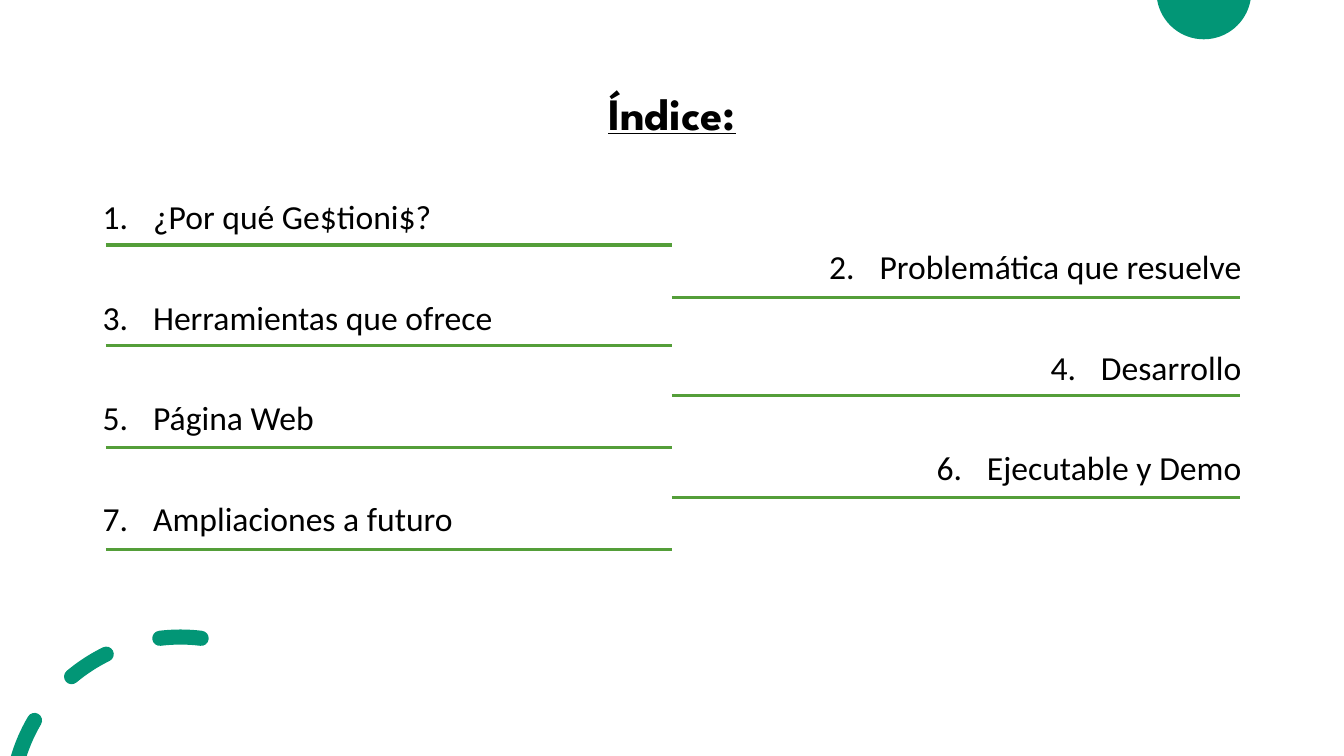
from dataclasses import dataclass
from math import acos, ceil, cos, degrees, radians, sin, tan

from lxml import etree
from pptx import Presentation
from pptx.dml.color import RGBColor
from pptx.enum.shapes import MSO_CONNECTOR
from pptx.enum.text import MSO_ANCHOR, PP_ALIGN
from pptx.oxml.ns import qn
from pptx.util import Inches, Pt

STRAIGHT = MSO_CONNECTOR.STRAIGHT
MIDDLE, TOP = MSO_ANCHOR.MIDDLE, MSO_ANCHOR.TOP
LEFT, CENTER, RIGHT = PP_ALIGN.LEFT, PP_ALIGN.CENTER, PP_ALIGN.RIGHT

SLIDE_WIDTH, SLIDE_HEIGHT = 13.33, 7.5
MARGIN = 0.92
CONTENT_WIDTH = 11.49


@dataclass(frozen=True)
class Theme:
    ink: RGBColor = RGBColor(0x00, 0x00, 0x00)
    ornament: RGBColor = RGBColor(0x02, 0x96, 0x76)
    rule: RGBColor = RGBColor(0x54, 0x9E, 0x39)
    title_font: str = "League Spartan"
    body_font: str = "Calibri"
    title_size: Pt = Pt(32)
    body_size: Pt = Pt(24)
    rule_width: Pt = Pt(2.25)


THEME = Theme()

TOPICS = [
    ("¿Por qué Ge$tioni$?", 0.49),
    ("Problemática que resuelve", 1.01),
    ("Herramientas que ofrece", 1.49),
    ("Desarrollo", 1.98),
    ("Página Web", 2.5),
    ("Ejecutable y Demo", 3.0),
    ("Ampliaciones a futuro", 3.51),
]


def add_text_frame(slide, box, anchor):
    frame = slide.shapes.add_textbox(*map(Inches, box)).text_frame
    frame.word_wrap = True
    frame.vertical_anchor = anchor
    return frame


def style_paragraph(paragraph, font_name, size, alignment):
    paragraph.alignment = alignment
    paragraph.line_spacing = 0.9
    paragraph.font.name = font_name
    paragraph.font.size = size
    paragraph.font.color.rgb = THEME.ink


def number_paragraph(paragraph):
    properties = paragraph._p.get_or_add_pPr()
    properties.set("marL", str(Inches(0.5)))
    properties.set("indent", str(Inches(-0.5)))
    numbering = etree.SubElement(properties, qn("a:buAutoNum"))
    numbering.set("type", "arabicPeriod")


def add_rule(slide, left, right, y):
    rule = slide.shapes.add_connector(
        STRAIGHT, Inches(left), Inches(y), Inches(right), Inches(y))
    rule.line.color.rgb = THEME.rule
    rule.line.width = THEME.rule_width
    etree.SubElement(rule._element.spPr, qn("a:effectLst"))


def polar(center, radius, angle):
    return (center[0] + radius * sin(radians(angle)),
            center[1] - radius * cos(radians(angle)))


def arc_curves(center, radius, start, end):
    count = ceil(abs(end - start) / 90)
    sweep = (end - start) / count
    reach = radius * 4 / 3 * tan(radians(sweep) / 4)
    points = []
    for index in range(count):
        first = start + index * sweep
        last = first + sweep
        x1, y1 = polar(center, radius, first)
        x2, y2 = polar(center, radius, last)
        points += [
            (x1 + reach * cos(radians(first)), y1 + reach * sin(radians(first))),
            (x2 - reach * cos(radians(last)), y2 - reach * sin(radians(last))),
            (x2, y2),
        ]
    return points


def contour(*arcs):
    points = [polar(*arcs[0][:3])]
    for arc in arcs:
        points += arc_curves(*arc)
    return [(Inches(x), Inches(y)) for x, y in points]


def add_curved_shape(slide, contours):
    builder = slide.shapes.build_freeform(*contours[0][0], scale=1.0)
    for index, points in enumerate(contours):
        if index:
            builder.move_to(*points[0])
        builder.add_line_segments(points[1:], close=True)
    shape = builder.convert_to_shape()
    segments = list(shape._element.iter(qn("a:lnTo")))
    for curve, *others in zip(segments[::3], segments[1::3], segments[2::3]):
        curve.tag = qn("a:cubicBezTo")
        for other in others:
            curve.append(other[0])
            other.getparent().remove(other)
    shape.shadow.inherit = False
    shape.fill.solid()
    shape.fill.fore_color.rgb = THEME.ornament
    shape.line.fill.background()


def add_corner_circle(slide, center, radius):
    edge = degrees(acos(center[1] / radius))
    add_curved_shape(slide, [contour((center, radius, edge, 360 - edge))])


def add_dashed_arc(slide, center, radius, thickness):
    half = thickness / 2
    inner, outer = radius - half, radius + half

    def cap(angle, start, end):
        return polar(center, radius, angle), half, start, end

    inner_cut, outer_cut = (
        -degrees(acos((center[1] - SLIDE_HEIGHT) / edge)) for edge in (inner, outer))
    tip = -59.5
    contours = [contour(
        (center, inner, inner_cut, tip),
        cap(tip, tip + 180, tip),
        (center, outer, tip, outer_cut),
    )]
    for start, end in ((-40, -26), (-7, 7)):
        contours.append(contour(
            (center, inner, end, start),
            cap(start, start + 180, start + 360),
            (center, outer, start, end),
            cap(end, end, end + 180),
        ))
    add_curved_shape(slide, contours)


def add_title(slide, box):
    paragraph = add_text_frame(slide, box, MIDDLE).paragraphs[0]
    paragraph.text = "Índice:"
    style_paragraph(paragraph, THEME.title_font, THEME.title_size, CENTER)
    paragraph.font.bold = True
    paragraph.font.underline = True


def add_index(slide, box):
    left, top, width, height = box
    middle = left + width / 2
    inset = 0.13
    frame = add_text_frame(slide, box, TOP)
    for row, (topic, rule_offset) in enumerate(TOPICS):
        on_right = row % 2 == 1
        paragraph = frame.add_paragraph() if row else frame.paragraphs[0]
        paragraph.text = topic
        if row:
            paragraph.space_before = Pt(10)
        number_paragraph(paragraph)
        style_paragraph(paragraph, THEME.body_font, THEME.body_size,
                        RIGHT if on_right else LEFT)
        start, end = (middle, left + width - inset + 0.02) if on_right else (left + inset, middle)
        add_rule(slide, start, end, top + rule_offset)


def main():
    presentation = Presentation()
    presentation.slide_width = Inches(SLIDE_WIDTH)
    presentation.slide_height = Inches(SLIDE_HEIGHT)
    slide = presentation.slides.add_slide(presentation.slide_layouts[6])
    add_corner_circle(slide, (11.94, -0.08), 0.47)
    add_dashed_arc(slide, (1.79, 8.0), 1.68, 0.15)
    add_title(slide, (MARGIN, 0.59, CONTENT_WIDTH, 1.13))
    add_index(slide, (MARGIN, 1.94, CONTENT_WIDTH, 4.86))
    presentation.save("out.pptx")


if __name__ == "__main__":
    main()
